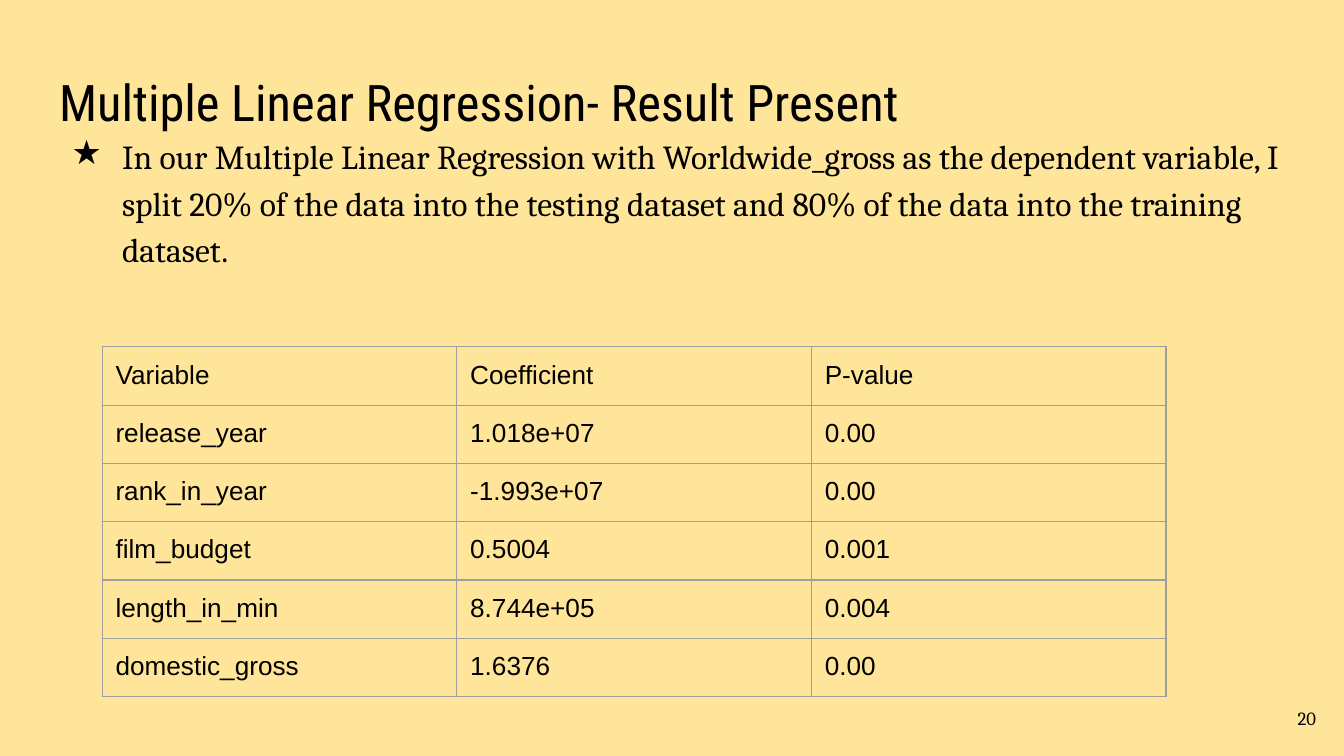
"""Build the slide with the multiple linear regression results."""
from dataclasses import dataclass
from typing import NamedTuple

from lxml.etree import SubElement
from pptx import Presentation
from pptx.dml.color import RGBColor
from pptx.enum.text import MSO_ANCHOR as Anchor, MSO_AUTO_SIZE as AutoSize, PP_ALIGN as Align
from pptx.oxml.ns import qn
from pptx.util import Pt


@dataclass(frozen=True)
class Theme:
    """Colours, fonts and type sizes of the slide."""
    background: str = "FFE599"
    ink: str = "000000"
    grid: str = "9E9E9E"
    title_font: str = "Roboto Condensed"
    body_font: str = "Cambria"
    table_font: str = "Arial"
    title_size: float = 27
    body_size: float = 18
    table_size: float = 14
    number_size: float = 10
    inset: float = 7.2
    grid_width: float = 0.75


class Box(NamedTuple):
    """A place on the slide, in points."""
    left: float
    top: float
    width: float
    height: float

    def lengths(self) -> tuple:
        """Return the four values as lengths."""
        return tuple(Pt(value) for value in self)


class Term(NamedTuple):
    """A row of the regression table."""
    variable: str
    coefficient: str
    p_value: str


THEME = Theme()
TITLE_BOX = Box(24.5, 31, 671, 45.4)
SUMMARY_BOX = Box(22.3, 62.6, 676, 314)
NUMBER_BOX = Box(668.9, 369.4, 43.2, 31)
TABLE_BOX = Box(54.7, 185.8, 570, 180.6)
TERMS = [
    Term("Variable", "Coefficient", "P-value"),
    Term("release_year", "1.018e+07", "0.00"),
    Term("rank_in_year", "-1.993e+07", "0.00"),
    Term("film_budget", "0.5004", "0.001"),
    Term("length_in_min", "8.744e+05", "0.004"),
    Term("domestic_gross", "1.6376", "0.00"),
]
SUMMARY = (
    "In our Multiple Linear Regression with Worldwide_gross as the dependent "
    "variable, I split 20% of the data into the testing dataset and 80% of the "
    "data into the training dataset."
)


def write(frame, text: str, *, font: str, size: float, align=Align.LEFT,
          anchor=Anchor.TOP, spacing: float = 1.0):
    """Put formatted text in a frame and return its paragraph."""
    frame.word_wrap = True
    frame.vertical_anchor = anchor
    frame.margin_left = frame.margin_right = Pt(THEME.inset)
    frame.margin_top = frame.margin_bottom = Pt(THEME.inset)
    paragraph = frame.paragraphs[0]
    paragraph.alignment = align
    paragraph.line_spacing = spacing
    run = paragraph.add_run()
    run.text = text
    run.font.name = font
    run.font.size = Pt(size)
    run.font.bold = False
    run.font.color.rgb = RGBColor.from_string(THEME.ink)
    return paragraph


def add_bullet(paragraph, symbol: str, indent: float, hanging: float) -> None:
    """Give a paragraph a hanging bullet."""
    properties = paragraph._p.get_or_add_pPr()
    properties.set("marL", str(Pt(indent)))
    properties.set("indent", str(-Pt(hanging)))
    colour = SubElement(properties, qn("a:buClr"))
    SubElement(colour, qn("a:srgbClr"), val=THEME.ink)
    SubElement(properties, qn("a:buChar"), char=symbol)


def add_borders(cell) -> None:
    """Draw the four borders of a table cell."""
    properties = cell._tc.get_or_add_tcPr()
    for index, side in enumerate(("lnL", "lnR", "lnT", "lnB")):
        line = SubElement(properties, qn(f"a:{side}"), w=str(Pt(THEME.grid_width)))
        fill = SubElement(line, qn("a:solidFill"))
        SubElement(fill, qn("a:srgbClr"), val=THEME.grid)
        properties.insert(index, line)


def fill_cell(cell, text: str) -> None:
    """Format one cell of the regression table."""
    write(cell.text_frame, text, font=THEME.table_font, size=THEME.table_size)
    cell.margin_left = cell.margin_right = Pt(THEME.inset)
    cell.margin_top = cell.margin_bottom = Pt(THEME.inset)
    cell.vertical_anchor = Anchor.TOP
    cell.fill.background()
    add_borders(cell)


def add_results(slide, terms: list[Term], box: Box) -> None:
    """Add the regression table with equal rows and columns."""
    results = slide.shapes.add_table(len(terms), len(Term._fields), *box.lengths()).table
    results.first_row = results.horz_banding = False
    for row, term in zip(results.rows, terms):
        for cell, text in zip(row.cells, term):
            fill_cell(cell, text)


def main() -> None:
    """Build and save the slide."""
    deck = Presentation()
    deck.slide_width, deck.slide_height = Pt(720), Pt(405)
    slide = deck.slides.add_slide(deck.slide_layouts[5])
    slide.background.fill.solid()
    slide.background.fill.fore_color.rgb = RGBColor.from_string(THEME.background)

    title = slide.shapes.title
    title.left, title.top, title.width, title.height = TITLE_BOX.lengths()
    title.text_frame.auto_size = AutoSize.NONE
    write(title.text_frame, "Multiple Linear Regression- Result Present",
          font=THEME.title_font, size=THEME.title_size)

    summary = slide.shapes.add_textbox(*SUMMARY_BOX.lengths())
    point = write(summary.text_frame, SUMMARY, font=THEME.body_font,
                  size=THEME.body_size, spacing=1.15)
    add_bullet(point, "★", indent=36, hanging=27)

    page_number = slide.shapes.add_textbox(*NUMBER_BOX.lengths())
    write(page_number.text_frame, "20", font=THEME.body_font, size=THEME.number_size,
          align=Align.RIGHT, anchor=Anchor.MIDDLE)

    add_results(slide, TERMS, TABLE_BOX)
    deck.save("out.pptx")


if __name__ == "__main__":
    main()
